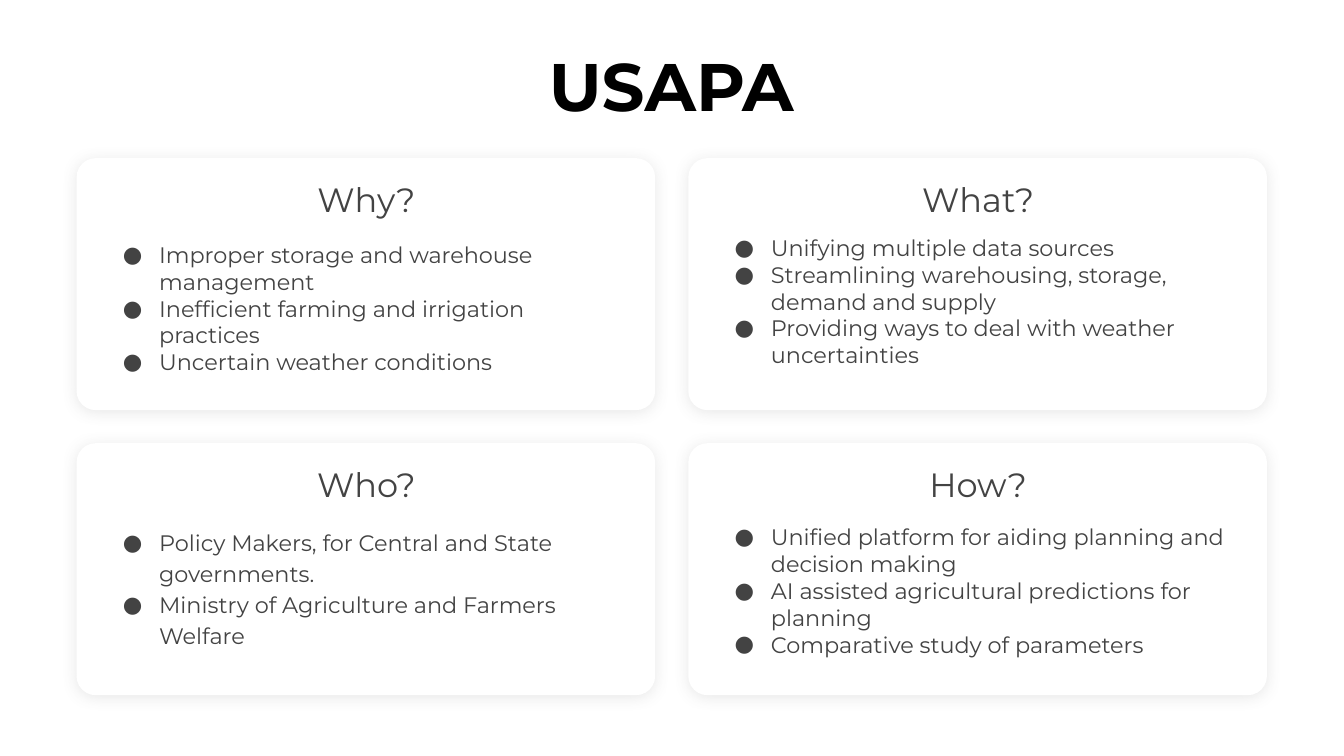
from dataclasses import dataclass

from lxml import etree
from pptx import Presentation
from pptx import util as u
from pptx.dml import color
from pptx.enum import shapes, text
from pptx.oxml import ns

COMPARISON_LAYOUT = 4


@dataclass(frozen=True)
class Theme:
    font: str = "Montserrat"
    paper: str = "FFFFFF"
    title_ink: str = "000000"
    ink: str = "434343"
    shadow: str = "666666"
    title_size: float = 48
    heading_size: float = 24
    body_size: float = 16


def rgb(value):
    return color.RGBColor.from_string(value)


def add_element(parent, tag, **attributes):
    return etree.SubElement(parent, ns.qn(tag), attributes)


def add_bullet(paragraph, ink, font):
    properties = paragraph._p.get_or_add_pPr()
    properties.set("marL", str(u.Pt(36)))
    properties.set("indent", str(u.Pt(-26)))
    add_element(add_element(properties, "a:buClr"), "a:srgbClr", val=ink)
    add_element(properties, "a:buFont", typeface=font)
    add_element(properties, "a:buChar", char="●")


def write(frame, lines, *, font, size, ink, bold=False, bullets=False,
          align=text.PP_ALIGN.LEFT, spacing=1.0):
    """Fill a text frame with one paragraph per line."""
    frame.word_wrap = True
    frame.auto_size = text.MSO_AUTO_SIZE.NONE
    frame.vertical_anchor = text.MSO_ANCHOR.TOP
    frame.margin_left = frame.margin_right = u.Pt(7.2)
    frame.margin_top = frame.margin_bottom = u.Pt(7.2)
    for index, line in enumerate(lines):
        paragraph = frame.add_paragraph() if index else frame.paragraphs[0]
        if bullets:
            add_bullet(paragraph, ink, font)
        paragraph.alignment = align
        paragraph.line_spacing = spacing
        paragraph.space_before = paragraph.space_after = u.Pt(0)
        run = paragraph.add_run()
        run.text = line
        run.font.name, run.font.size, run.font.bold = font, u.Pt(size), bold
        run.font.color.rgb = rgb(ink)


class SlideBuilder:
    def __init__(self, slide, theme):
        self.slide, self.theme = slide, theme

    def place(self, shape, box):
        shape.left, shape.top, shape.width, shape.height = map(u.Pt, box)

    def title(self, words, box):
        title = self.slide.shapes.title
        self.place(title, box)
        write(title.text_frame, [words], font=self.theme.font,
              size=self.theme.title_size, ink=self.theme.title_ink,
              bold=True, align=text.PP_ALIGN.CENTER)

    def card(self, box):
        """Draw a white rounded panel with a soft shadow, behind the text."""
        card = self.slide.shapes.add_shape(
            shapes.MSO_SHAPE.ROUNDED_RECTANGLE, *map(u.Pt, box))
        card.adjustments[0] = 0.076
        card.fill.solid()
        card.fill.fore_color.rgb = rgb(self.theme.paper)
        card.line.fill.background()
        card.shadow.inherit = False
        effects = card.element.spPr.find(ns.qn("a:effectLst"))
        shadow = add_element(effects, "a:outerShdw", blurRad=str(u.Pt(11.2)),
                             dist=str(u.Pt(1.5)), dir=str(87 * 60000),
                             algn="bl", rotWithShape="0")
        tint = add_element(shadow, "a:srgbClr", val=self.theme.shadow)
        add_element(tint, "a:alpha", val="15000")
        card.element.getparent().insert(2, card.element)

    def heading(self, words, box):
        heading = self.slide.shapes.add_textbox(*map(u.Pt, box))
        write(heading.text_frame, [words], font=self.theme.font,
              size=self.theme.heading_size, ink=self.theme.ink,
              align=text.PP_ALIGN.CENTER)

    def bullet_list(self, placeholder, items, box, spacing):
        self.place(placeholder, box)
        write(placeholder.text_frame, items, font=self.theme.font,
              size=self.theme.body_size, ink=self.theme.ink,
              bullets=True, spacing=spacing)


# Question, list top, list height, line spacing, answers
QUESTIONS = [
    ("Why?", 164.9, 103.7, 1.0, [
        "Improper storage and warehouse management",
        "Inefficient farming and irrigation practices",
        "Uncertain weather conditions"]),
    ("What?", 159.9, 113, 1.0, [
        "Unifying multiple data sources",
        "Streamlining warehousing, storage, demand and supply",
        "Providing ways to deal with weather uncertainties"]),
    ("Who?", 367.9, 103.7, 1.15, [
        "Policy Makers, for Central and State governments.",
        "Ministry of Agriculture and Farmers Welfare"]),
    ("How?", 366.5, 103.7, 1.0, [
        "Unified platform for aiding planning and decision making",
        "AI assisted agricultural predictions for planning",
        "Comparative study of parameters"]),
]
CARD_LEFT, CARD_TOP, CARD_WIDTH, CARD_HEIGHT = 54.7, 113, 413.3, 180
COLUMN_STEP, ROW_STEP = 437, 203.6
INSET_X, INSET_Y, TEXT_WIDTH, HEADING_HEIGHT = 15.8, 7.6, 382.3, 43.2


def main():
    deck = Presentation()
    deck.slide_width, deck.slide_height = u.Pt(960), u.Pt(540)
    slide = deck.slides.add_slide(deck.slide_layouts[COMPARISON_LAYOUT])
    builder = SlideBuilder(slide, Theme())
    builder.title("USAPA", (25.2, 24.5, 908.6, 71.3))
    for index, (question, list_top, list_height, spacing, answers) in enumerate(QUESTIONS):
        row, column = divmod(index, 2)
        left = CARD_LEFT + column * COLUMN_STEP
        top = CARD_TOP + row * ROW_STEP
        builder.card((left, top, CARD_WIDTH, CARD_HEIGHT))
        builder.heading(question, (left + INSET_X, top + INSET_Y,
                                   TEXT_WIDTH, HEADING_HEIGHT))
        builder.bullet_list(slide.placeholders[index + 1], answers,
                            (left + INSET_X, list_top, TEXT_WIDTH, list_height),
                            spacing)
    deck.save("out.pptx")


if __name__ == "__main__":
    main()
